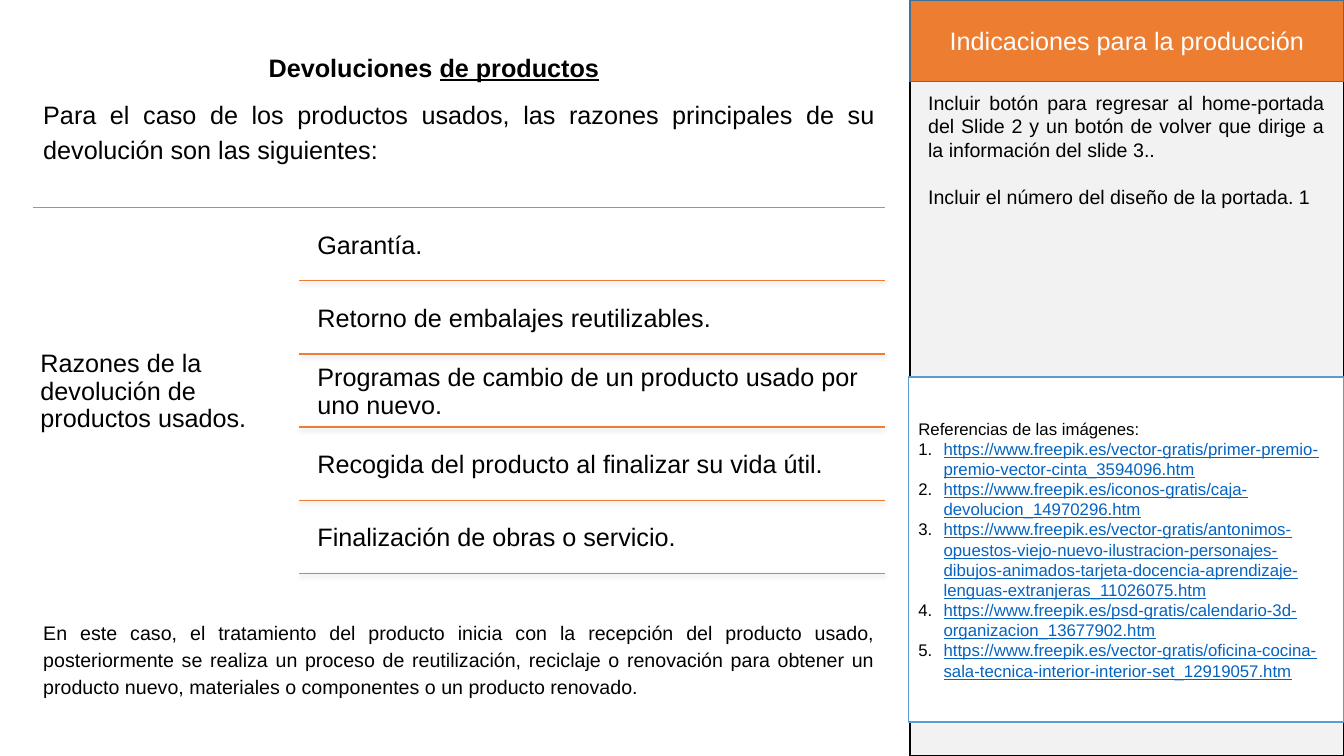
from dataclasses import dataclass

from lxml.etree import SubElement
from pptx import Presentation
from pptx.dml.color import RGBColor
from pptx.enum.shapes import MSO_CONNECTOR, MSO_SHAPE
from pptx.enum.text import MSO_ANCHOR, MSO_AUTO_SIZE, PP_ALIGN
from pptx.oxml import parse_xml
from pptx.oxml.ns import qn
from pptx.util import Cm, Pt


@dataclass(frozen=True)
class Theme:
    font: str = "Arial"
    heading: int = 18
    body: int = 14
    reference: int = 12
    black: str = "000000"
    white: str = "FFFFFF"
    gray: str = "F2F2F2"
    orange: str = "ED7D31"
    header_border: str = "42719B"
    reference_border: str = "5B9BD5"
    link: str = "0563C1"


theme = Theme()


def write(para, text, size=theme.heading, color=theme.black, bold=False,
          underline=False, align=PP_ALIGN.LEFT, spacing=1.0, before=0):
    para.alignment = align
    para.line_spacing = spacing
    para.space_before = Pt(before)
    span = para.add_run()
    span.text = text
    span.font.name = theme.font
    span.font.size = Pt(size)
    span.font.bold = bold
    span.font.underline = underline
    span.font.color.rgb = RGBColor.from_string(color)


def prepare(box, anchor=MSO_ANCHOR.TOP, inset=None):
    frame = box.text_frame
    frame.word_wrap = True
    frame.auto_size = MSO_AUTO_SIZE.NONE
    frame.vertical_anchor = anchor
    if inset is not None:
        frame.margin_left = frame.margin_right = Cm(inset)
        frame.margin_top = frame.margin_bottom = Cm(inset)
    return frame.paragraphs[0]


deck = Presentation()
deck.slide_width = Cm(33.87)
deck.slide_height = Cm(19.05)
page = deck.slides.add_slide(deck.slide_layouts[1])
title = page.shapes.title
references = page.placeholders[1]

side_panel = page.shapes.add_shape(MSO_SHAPE.RECTANGLE, Cm(22.93), Cm(0), Cm(10.94), Cm(19.05))
header = page.shapes.add_shape(MSO_SHAPE.RECTANGLE, Cm(22.93), Cm(0), Cm(10.94), Cm(2.06))
for panel, fill, border in (
    (side_panel, theme.gray, theme.black),
    (header, theme.orange, theme.header_border),
    (references, theme.white, theme.reference_border),
):
    panel.fill.solid()
    panel.fill.fore_color.rgb = RGBColor.from_string(fill)
    panel.line.color.rgb = RGBColor.from_string(border)
    panel.line.width = Pt(1)
side_panel.shadow.inherit = False
header.shadow.inherit = False
write(prepare(header, MSO_ANCHOR.MIDDLE), "Indicaciones para la producción",
      color=theme.white, align=PP_ALIGN.CENTER)

instructions = page.shapes.add_textbox(Cm(23.14), Cm(2.16), Cm(10.49), Cm(7.3))
write(prepare(instructions),
      "Incluir botón para regresar al home-portada del Slide 2 y un botón de volver "
      "que dirige a la información del slide 3..",
      size=theme.body, align=PP_ALIGN.JUSTIFY)
write(instructions.text_frame.add_paragraph(),
      "Incluir el número del diseño de la portada. 1",
      size=theme.body, align=PP_ALIGN.JUSTIFY, before=16.8)

references.left, references.top = Cm(22.89), Cm(9.5)
references.width, references.height = Cm(10.97), Cm(8.69)
references.element.getparent().append(references.element)
para = prepare(references, MSO_ANCHOR.MIDDLE)
write(para, "Referencias de las imágenes:", size=theme.reference)
properties = para._p.get_or_add_pPr()
properties.set("marL", "0")
properties.set("indent", "0")
SubElement(properties, qn("a:buNone"))
for address in (
    "https://www.freepik.es/vector-gratis/primer-premio-premio-vector-cinta_3594096.htm",
    "https://www.freepik.es/iconos-gratis/caja-devolucion_14970296.htm",
    "https://www.freepik.es/vector-gratis/antonimos-opuestos-viejo-nuevo-ilustracion-personajes-dibujos-animados-tarjeta-docencia-aprendizaje-lenguas-extranjeras_11026075.htm",
    "https://www.freepik.es/psd-gratis/calendario-3d-organizacion_13677902.htm",
    "https://www.freepik.es/vector-gratis/oficina-cocina-sala-tecnica-interior-interior-set_12919057.htm",
):
    para = references.text_frame.add_paragraph()
    write(para, address, size=theme.reference, color=theme.link, underline=True)
    properties = para._p.get_or_add_pPr()
    properties.set("marL", str(Cm(0.635)))
    properties.set("indent", str(Cm(-0.635)))
    bullet_color = SubElement(properties, qn("a:buClr"))
    SubElement(bullet_color, qn("a:srgbClr"), val=theme.black)
    SubElement(properties, qn("a:buFont"), typeface=theme.font)
    SubElement(properties, qn("a:buAutoNum"), type="arabicPeriod")

title.left, title.top, title.width, title.height = Cm(5.97), Cm(1.07), Cm(9.93), Cm(1.14)
para = prepare(title)
write(para, "Devoluciones ", bold=True, align=PP_ALIGN.CENTER, spacing=1.15)
write(para, "de productos", bold=True, underline=True, align=PP_ALIGN.CENTER, spacing=1.15)

for top, height, size, text in (
    (2.26, 1.96, theme.heading,
     "Para el caso de los productos usados, las razones principales de su devolución "
     "son las siguientes:"),
    (15.44, 2.31, theme.body,
     "En este caso, el tratamiento del producto inicia con la recepción del producto usado, "
     "posteriormente se realiza un proceso de reutilización, reciclaje o renovación para "
     "obtener un producto nuevo, materiales o componentes o un producto renovado."),
):
    box = page.shapes.add_textbox(Cm(0.84), Cm(top), Cm(21.46), Cm(height))
    write(prepare(box), text, size=size, align=PP_ALIGN.JUSTIFY, spacing=1.15)

topic = page.shapes.add_textbox(Cm(0.84), Cm(5.23), Cm(6.7), Cm(9.3))
write(prepare(topic, MSO_ANCHOR.MIDDLE, 0.18),
      "Razones de la devolución de productos usados.", spacing=0.9)

reasons = (
    "Garantía.",
    "Retorno de embalajes reutilizables.",
    "Programas de cambio de un producto usado por uno nuevo.",
    "Recogida del producto al finalizar su vida útil.",
    "Finalización de obras o servicio.",
)
row_pitch = 1.84
rules = [(0.84, 5.23)]
for row, reason in enumerate(reasons):
    box = page.shapes.add_textbox(Cm(7.82), Cm(5.33 + row * row_pitch), Cm(14.48), Cm(1.75))
    write(prepare(box, MSO_ANCHOR.MIDDLE, 0.18), reason, spacing=0.9)
    rules.append((7.54, 7.08 + row * row_pitch))

for left, top in rules:
    rule = page.shapes.add_connector(MSO_CONNECTOR.STRAIGHT, Cm(left), Cm(top), Cm(22.3), Cm(top))
    rule.line.color.rgb = RGBColor.from_string(theme.orange)
    rule.line.width = Pt(0.75)
    rule.element.spPr.append(parse_xml(
        '<a:effectLst xmlns:a="http://schemas.openxmlformats.org/drawingml/2006/main">'
        f'<a:outerShdw blurRad="{Pt(3.1)}" dist="{Pt(1.6)}" dir="5400000" rotWithShape="0">'
        f'<a:srgbClr val="{theme.black}"><a:alpha val="38000"/></a:srgbClr>'
        '</a:outerShdw></a:effectLst>'))

deck.save("out.pptx")
